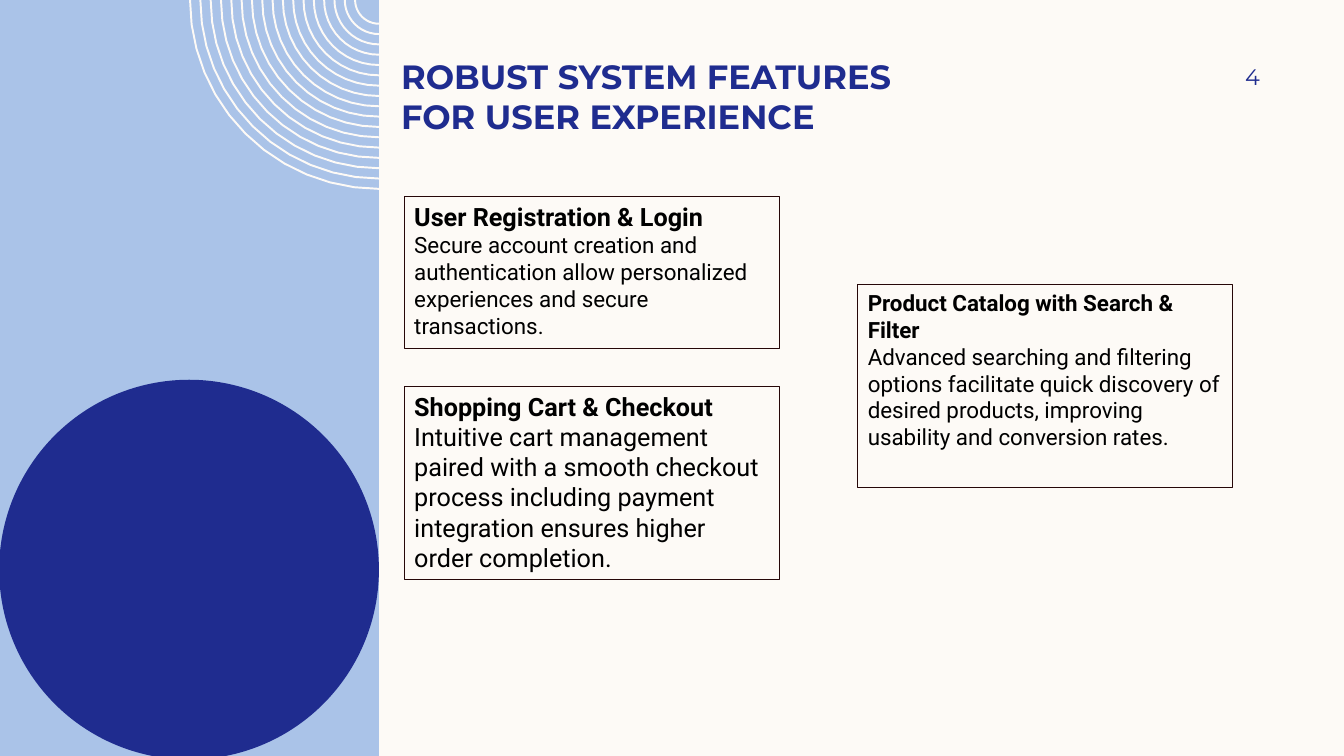
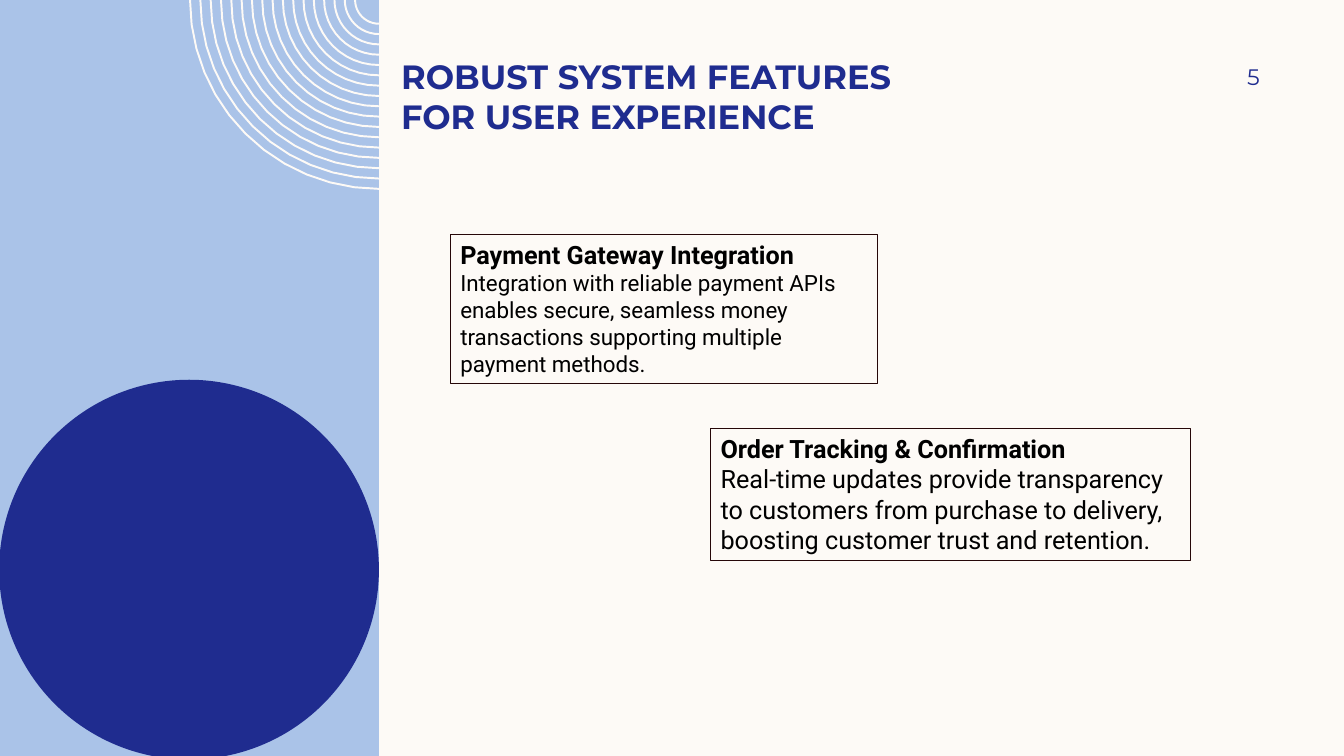
"""Build two slides on system features, with a decorated side panel and outlined text cards."""
from math import cos, pi, sin

from pptx import Presentation
from pptx.dml.color import RGBColor
from pptx.enum.shapes import MSO_SHAPE
from pptx.enum.text import MSO_ANCHOR, PP_ALIGN
from pptx.util import Cm, Pt

RECTANGLE, OVAL = MSO_SHAPE.RECTANGLE, MSO_SHAPE.OVAL
TOP, MIDDLE, BOTTOM = MSO_ANCHOR.TOP, MSO_ANCHOR.MIDDLE, MSO_ANCHOR.BOTTOM
LEFT, RIGHT = PP_ALIGN.LEFT, PP_ALIGN.RIGHT

COLORS = {
    "cream": "FDFAF6",
    "light blue": "AAC3E8",
    "navy": "1F2C8F",
    "outline": "260708",
    "black": "000000",
}
HEADING_FONT, BODY_FONT = "Montserrat", "Roboto"
TITLE = "ROBUST SYSTEM FEATURES \vFOR USER EXPERIENCE"

PANEL_LEFT, PANEL_RIGHT, PANEL_HEIGHT = -0.02, 9.55, 19.14
PANEL_WIDTH = PANEL_RIGHT - PANEL_LEFT
DECORATIONS = [
    (RECTANGLE, 0, PANEL_HEIGHT, "light blue"),
    (OVAL, PANEL_HEIGHT - PANEL_WIDTH, PANEL_WIDTH, "navy"),
]
RING_COUNT, RING_RADIUS, RING_STEP = 17, 4.76, 0.26
ARC_STEPS = 12

SLIDES = [
    ("4", [
        ((10.19, 4.95, 9.45, 3.84), 18, 16, "User Registration & Login",
         "Secure account creation and authentication allow personalized "
         "experiences and secure transactions."),
        ((10.19, 9.73, 9.45, 4.88), 18, 18, "Shopping Cart & Checkout",
         "Intuitive cart management paired with a smooth checkout process "
         "including payment integration ensures higher order completion."),
        ((21.62, 7.16, 9.45, 5.13), 16, 16, "Product Catalog with Search & Filter",
         "Advanced searching and filtering options facilitate quick discovery "
         "of desired products, improving usability and conversion rates."),
    ]),
    ("5", [
        ((11.35, 5.9, 10.77, 3.76), 18, 16, "Payment Gateway Integration",
         "Integration with reliable payment APIs enables secure, seamless money "
         "transactions supporting multiple payment methods."),
        ((17.91, 10.8, 12.09, 3.33), 18, 18, "Order Tracking & Confirmation",
         "Real-time updates provide transparency to customers from purchase to "
         "delivery, boosting customer trust and retention."),
    ]),
]


def outline_only(shape, color, width):
    shape.shadow.inherit = False
    shape.fill.background()
    shape.line.color.rgb = RGBColor.from_string(COLORS[color])
    shape.line.width = Pt(width)


def write_text(shape, lines, font_name, color, anchor, alignment=LEFT):
    frame = shape.text_frame
    frame.word_wrap = True
    frame.vertical_anchor = anchor
    frame.text = "\n".join(text for text, size, bold in lines)
    for paragraph, (text, size, bold) in zip(frame.paragraphs, lines):
        paragraph.alignment = alignment
        for run in paragraph.runs:
            run.font.name = font_name
            run.font.size = Pt(size)
            run.font.bold = bold
            run.font.color.rgb = RGBColor.from_string(COLORS[color])


presentation = Presentation()
presentation.slide_width, presentation.slide_height = Cm(33.87), Cm(19.05)
background = presentation.slide_master.background.fill
background.solid()
background.fore_color.rgb = RGBColor.from_string(COLORS["cream"])

angles = [step * pi / 2 / ARC_STEPS for step in range(ARC_STEPS + 1)]
radii = [RING_RADIUS - ring * RING_STEP for ring in range(RING_COUNT)]
ring_arcs = [
    [(Cm(PANEL_RIGHT - radius * cos(angle)), Cm(radius * sin(angle))) for angle in angles]
    for radius in radii
]

for number, cards in SLIDES:
    slide = presentation.slides.add_slide(presentation.slide_layouts[6])
    shapes = slide.shapes

    for preset, top, height, color in DECORATIONS:
        decoration = shapes.add_shape(
            preset, Cm(PANEL_LEFT), Cm(top), Cm(PANEL_WIDTH), Cm(height))
        decoration.shadow.inherit = False
        decoration.fill.solid()
        decoration.fill.fore_color.rgb = RGBColor.from_string(COLORS[color])
        decoration.line.fill.background()

    builder = shapes.build_freeform(*ring_arcs[0][0])
    for arc in ring_arcs:
        builder.move_to(*arc[0])
        builder.add_line_segments(arc[1:], close=False)
    outline_only(builder.convert_to_shape(), "cream", 1.4)

    title = shapes.add_textbox(Cm(9.86), Cm(1.27), Cm(19.56), Cm(2.16))
    title.text_frame.margin_top = title.text_frame.margin_bottom = 0
    write_text(title, [(TITLE, 24, True)], HEADING_FONT, "navy", BOTTOM)

    page_number = shapes.add_textbox(Cm(29), Cm(1.27), Cm(2.75), Cm(1.32))
    page_number.text_frame.margin_right = 0
    write_text(page_number, [(number, 16, False)], HEADING_FONT, "navy", MIDDLE, RIGHT)

    for box, heading_size, body_size, heading, body in cards:
        card = shapes.add_shape(RECTANGLE, *map(Cm, box))
        outline_only(card, "outline", 0.75)
        lines = [(heading, heading_size, True), (body, body_size, False)]
        write_text(card, lines, BODY_FONT, "black", TOP)

presentation.save("out.pptx")
